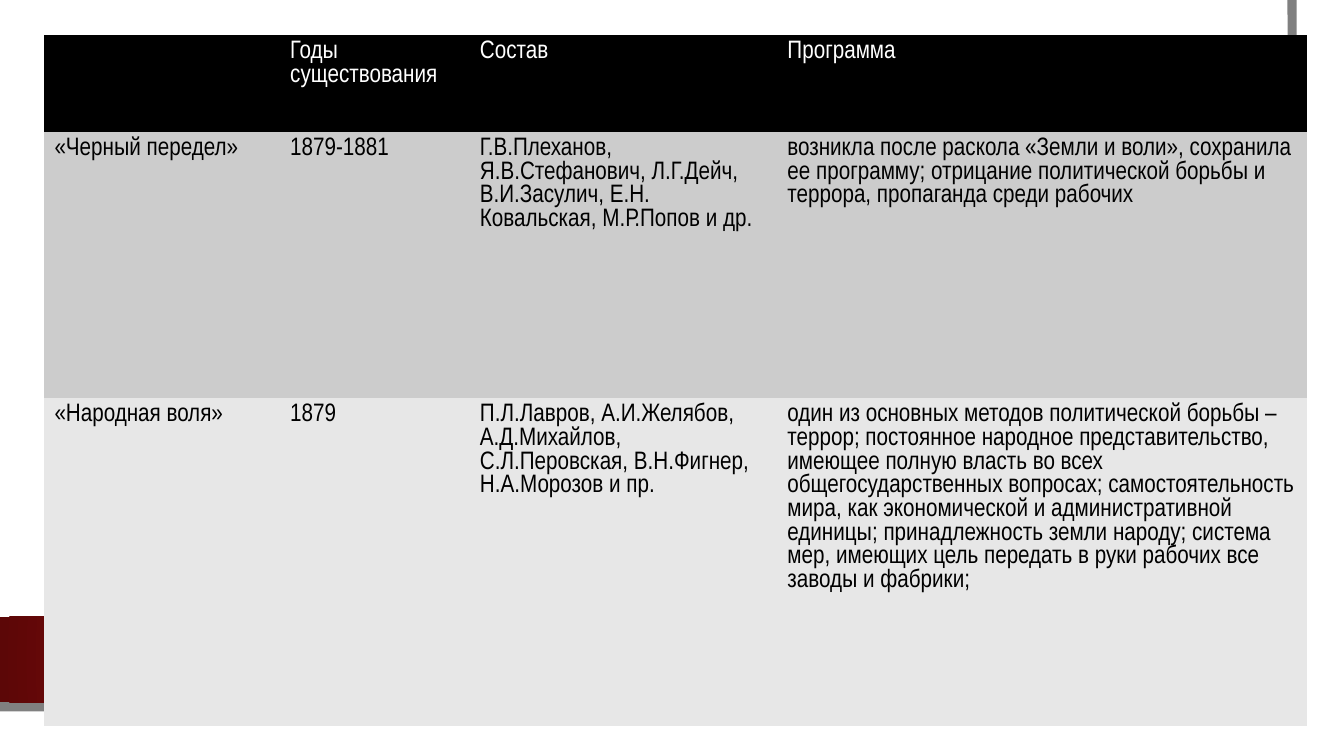
from dataclasses import dataclass

from lxml.etree import SubElement
from pptx import Presentation
from pptx.dml.color import RGBColor
from pptx.enum.shapes import MSO_SHAPE as Preset
from pptx.oxml.ns import qn
from pptx.shapes.autoshape import Shape
from pptx.slide import Slide
from pptx.table import _Cell as Cell
from pptx.util import Cm, Pt

COLORS = {
    "white": "FFFFFF",
    "black": "000000",
    "frame": "808080",
    "red": "B80E0F",
    "dark_red": "5C0707",
    "first_group": "CCCCCC",
    "second_group": "E7E7E7",
}
FONT = "Arial Narrow"
NO_STYLE_NO_GRID = "{2D5ABB26-0587-4C30-8999-92F81FD0307C}"
COLUMN_WIDTHS = (5.94, 4.78, 7.75, 13.34)


@dataclass(frozen=True)
class TableRow:
    height: float
    fill: str
    text_color: str
    texts: tuple[str, ...]


ROWS = (
    TableRow(2.44, "black", "white", ("", "Годы существования", "Состав", "Программа")),
    TableRow(6.71, "first_group", "black", (
        "«Черный передел»",
        "1879-1881",
        "Г.В.Плеханов, Я.В.Стефанович, Л.Г.Дейч, В.И.Засулич, Е.Н. Ковальская, "
        "М.Р.Попов и др.",
        "возникла после раскола «Земли и воли», сохранила ее программу; отрицание "
        "политической борьбы и террора, пропаганда среди рабочих",
    )),
    TableRow(8.26, "second_group", "black", (
        "«Народная воля»",
        "1879",
        "П.Л.Лавров, А.И.Желябов, А.Д.Михайлов, С.Л.Перовская, В.Н.Фигнер, "
        "Н.А.Морозов и пр.",
        "один из основных методов политической борьбы – террор; постоянное народное "
        "представительство, имеющее полную власть во всех общегосударственных "
        "вопросах; самостоятельность мира, как экономической и административной "
        "единицы; принадлежность земли народу; система мер, имеющих цель передать "
        "в руки рабочих все заводы и фабрики;",
    )),
)


def rgb(name: str) -> RGBColor:
    return RGBColor.from_string(COLORS[name])


def add_panel(slide: Slide, left: float, top: float, width: float, height: float) -> Shape:
    panel = slide.shapes.add_shape(
        Preset.RECTANGLE, Cm(left), Cm(top), Cm(width), Cm(height))
    panel.shadow.inherit = False
    panel.line.fill.background()
    return panel


def fill_radial(shape: Shape, inner: str, outer: str, inner_stop: float) -> None:
    """Fill with a circular gradient that spreads from the centre."""
    shape.fill.gradient()
    stops = shape.fill.gradient_stops
    for stop, color, position in zip(stops, (inner, outer), (inner_stop, 1)):
        stop.color.rgb = rgb(color)
        stop.position = position
    gradient = shape.element.spPr.find(qn("a:gradFill"))
    gradient.remove(gradient.find(qn("a:lin")))
    circle = SubElement(gradient, qn("a:path"), {"path": "circle"})
    SubElement(circle, qn("a:fillToRect"), dict.fromkeys("ltrb", "50000"))


def add_frame(slide: Slide) -> None:
    """Draw the grey line along the right and bottom edges of the sheet."""
    builder = slide.shapes.build_freeform(Cm(32.56), Cm(0))
    builder.add_line_segments(
        [(Cm(32.64), Cm(17.83)), (Cm(-0.08), Cm(17.81))], close=False)
    frame = builder.convert_to_shape()
    frame.shadow.inherit = False
    frame.fill.background()
    frame.line.color.rgb = rgb("frame")
    frame.line.width = Pt(6.5)


def write_text(cell: Cell, text: str, *, color: str, size: float = 18,
               font: str = FONT) -> None:
    run = cell.text_frame.paragraphs[0].add_run()
    run.text = text
    run.font.name = font
    run.font.size = Pt(size)
    run.font.color.rgb = rgb(color)


def add_groups_table(slide: Slide) -> None:
    frame = slide.shapes.add_table(
        len(ROWS), len(COLUMN_WIDTHS), Cm(1.12), Cm(0.89),
        Cm(sum(COLUMN_WIDTHS)), Cm(sum(row.height for row in ROWS)))
    table = frame.table
    table.first_row = table.horz_banding = False
    next(frame.element.iter(qn("a:tableStyleId"))).text = NO_STYLE_NO_GRID
    for column, width in zip(table.columns, COLUMN_WIDTHS):
        column.width = Cm(width)
    for table_row, row in zip(table.rows, ROWS):
        table_row.height = Cm(row.height)
        for cell, text in zip(table_row.cells, row.texts):
            cell.fill.solid()
            cell.fill.fore_color.rgb = rgb(row.fill)
            if text:
                write_text(cell, text, color=row.text_color)


def main() -> None:
    deck = Presentation()
    deck.slide_width, deck.slide_height = Cm(33.87), Cm(19.05)
    slide = deck.slides.add_slide(deck.slide_layouts[6])

    sheet = add_panel(slide, 0, 0, 33.27, 18.47)
    sheet.fill.solid()
    sheet.fill.fore_color.rgb = rgb("white")
    add_frame(slide)
    red_band = add_panel(slide, 0, 15.54, 32.51, 2.16)
    fill_radial(red_band, "red", "dark_red", 0.34)
    add_groups_table(slide)

    deck.save("out.pptx")


if __name__ == "__main__":
    main()
